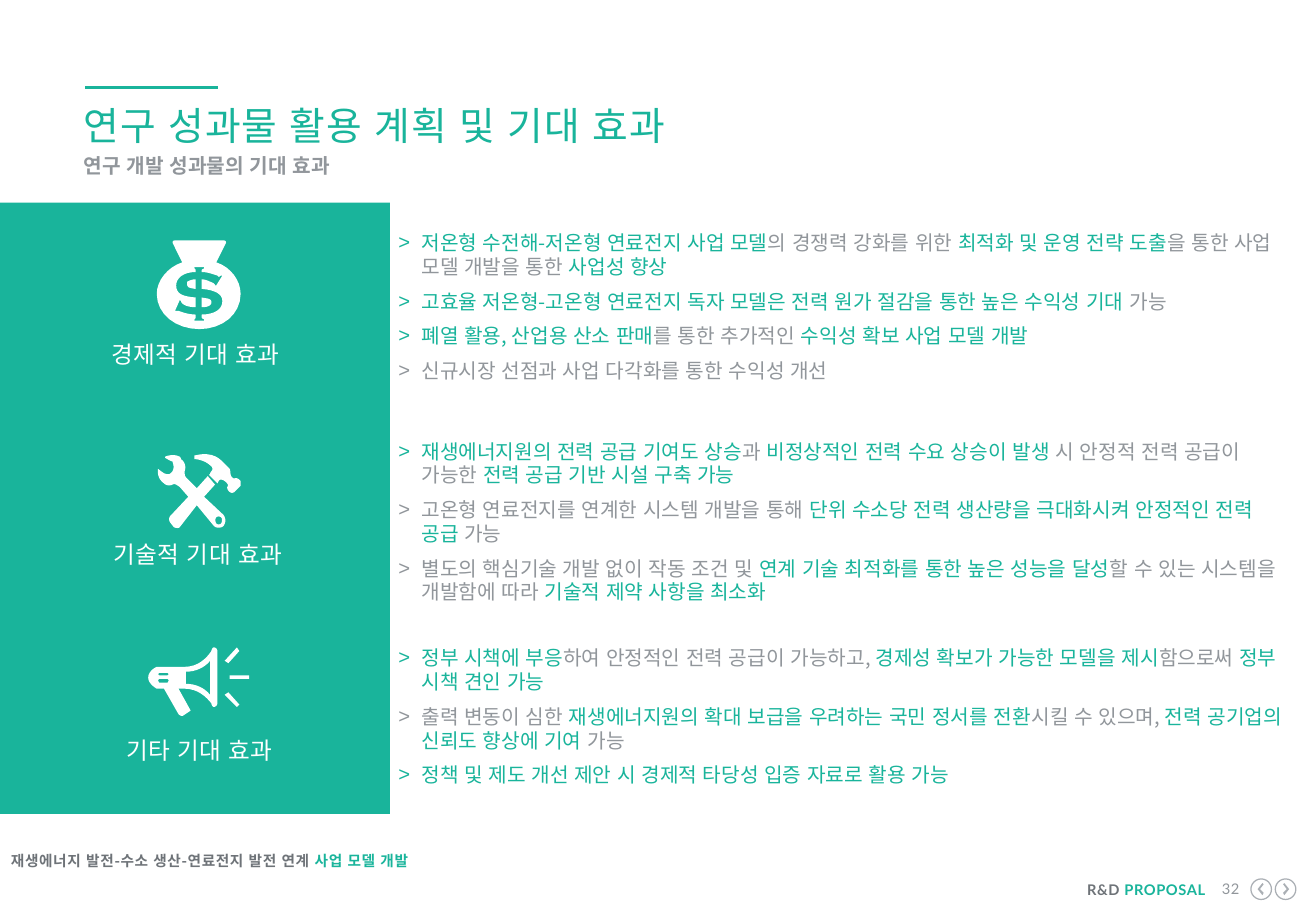
from lxml import etree
from pptx import Presentation
from pptx.dml.color import RGBColor
from pptx.enum import lang, shapes, text
from pptx.oxml import ns
from pptx.util import Cm, Pt

TEAL = RGBColor(0x19, 0xB4, 0x9B)
GRAY = RGBColor(0x91, 0x96, 0x9B)
DARK_GRAY = RGBColor(0x6E, 0x73, 0x78)
ARROW_GRAY = RGBColor(0xAA, 0xAF, 0xB4)
WHITE = RGBColor(0xFF, 0xFF, 0xFF)
KOREAN_FONT = "Noto Sans CJK KR"
LATIN_FONT = "Lato"
GRID = Cm(0.0254)  # unit of the icon outlines
CURVE_STEPS = 8

# Outlines: points joined by lines; "C" makes the next three points a curve.
MONEY_BAG = [
    "198,242 C 198,259 183,271 164,271 C 145,271 129,259 129,242 C 129,231 138,220 150,216 "
    "142,200 C 142,198 143,198 145,198 183,198 C 185,198 186,198 186,200 178,216 "
    "C 190,220 198,231 198,242",
    "177,235 178,235 183,227 182,227 C 181,227 181,228 180,228 179,227 C 173,225 170,224 166,224 "
    "166,223 C 166,222 166,222 168,221 168,220 160,220 160,221 C 161,222 161,222 161,223 161,224 "
    "C 151,224 145,229 145,235 C 145,242 150,244 161,245 161,253 C 153,253 149,250 149,248 "
    "148,247 144,256 147,256 C 152,258 157,259 161,259 161,261 C 161,262 161,262 160,263 "
    "160,264 168,264 168,263 C 166,262 166,262 166,261 166,259 C 176,259 183,255 183,248 "
    "C 183,242 177,239 167,238 166,238 166,230 C 168,230 171,231 173,232 C 176,233 177,234 177,235",
    "161,230 161,238 C 156,237 154,237 154,234 154,232 C 156,231 158,230 161,230",
    "166,245 C 172,246 174,246 174,249 C 174,251 172,253 166,253",
]
TOOLS = [
    "184,424 C 186,427 186,430 184,433 C 182,435 178,435 176,433 162,416 148,434 "
    "C 147,435 145,435 143,434 140,430 C 139,429 139,426 140,425 155,409 148,401 "
    "C 145,399 144,398 142,399 C 140,400 137,400 135,398 C 129,394 130,387 130,387 130,386 "
    "C 130,386 135,390 136,390 C 137,390 139,392 142,388 C 144,384 142,381 142,380 "
    "C 141,380 136,377 136,377 136,376 C 136,376 142,373 148,376 C 148,376 149,377 149,378 "
    "C 153,381 153,385 152,388 C 152,391 152,392 154,394 162,402 171,392 177,399 168,409",
    "198,400 193,405 C 192,406 190,406 189,405 188,404 C 187,403 187,401 187,401 "
    "C 188,400 188,399 186,397 C 184,395 181,394 180,396 179,398 172,391 173,390 "
    "C 173,390 173,389 174,388 C 176,386 174,384 174,384 C 168,378 160,378 160,378 160,375 "
    "C 176,371 182,379 184,381 C 186,383 189,386 189,386 C 190,387 189,391 191,393 "
    "C 192,394 193,394 193,394 C 194,393 196,394 197,395 198,396 C 198,397 198,399 198,400",
    "182,426 C 181,425 179,425 178,426 C 177,427 177,429 178,431 C 179,432 181,432 182,431 "
    "C 183,429 183,427 182,426",
]
MEGAPHONE = [
    "179,536 179,579 C 179,580 178,582 176,582 C 175,582 174,580 174,579 "
    "C 170,574 163,567 152,567 147,567 157,585 151,589 C 150,590 148,589 147,588 135,567 129,567 "
    "C 129,567 122,563 122,558 C 122,552 129,549 129,549 152,549 C 163,549 170,542 174,536 "
    "C 174,535 175,533 176,533 C 178,533 179,535 179,536",
    "139,555 138,554 131,554 130,555 131,556 138,556",
    "139,560 138,559 131,559 130,560 131,562 138,562",
    "173,572 173,544 C 168,550 161,553 153,553 153,563 C 161,563 168,566 173,572",
    "185,544 195,533 197,536 188,546",
    "188,570 197,580 195,582 185,572",
    "189,556 205,556 205,559 189,559",
]
PREVIOUS_ARROW = ["1040,735 1037,732 1040,728 1039,727 1035,732 1039,737"]
NEXT_ARROW = ["1056,728 1059,732 1056,735 1057,737 1061,732 1057,727"]

# Text between asterisks is set in teal.
SECTIONS = [
    ("경제적 기대 효과", MONEY_BAG, (1.7, 7.06), (4.83, 3.25), [
        "*저온형 수전해-저온형 연료전지 사업 모델*의 경쟁력 강화를 위한 "
        "*최적화 및 운영 전략 도출*을 통한 사업 모델 개발을 통한 *사업성 향상*",
        "*고효율 저온형-고온형 연료전지 독자 모델은 전력 원가 절감을 통한 높은 수익성 기대* 가능",
        "*폐열 활용, 산업용 산소 판매*를 통한 추가적인 *수익성 확보 사업 모델 개발*",
        "신규시장 선점과 사업 다각화를 통한 수익성 개선",
    ]),
    ("기술적 기대 효과", TOOLS, (1.75, 11.23), (9.19, 3), [
        "*재생에너지원의 전력 공급 기여도 상승*과 *비정상적인 전력 수요 상승이 발생*"
        " 시 안정적 전력 공급이 가능한 *전력 공급 기반 시설 구축 가능*",
        "고온형 연료전지를 연계한 시스템 개발을 통해 "
        "*단위 수소당 전력 생산량을 극대화시켜 안정적인 전력 공급* 가능",
        "별도의 핵심기술 개발 없이 작동 조건 및 *연계 기술 최적화를 통한 높은 성능을 달성*"
        "할 수 있는 시스템을 개발함에 따라 *기술적 제약 사항을 최소화*",
    ]),
    ("기타 기대 효과", MEGAPHONE, (1.78, 15.34), (13.51, 3), [
        "*정부 시책에 부응*하여 안정적인 전력 공급이 가능하고, "
        "*경제성 확보가 가능한 모델을 제시*함으로써 *정부 시책 견인 가능*",
        "출력 변동이 심한 *재생에너지원의 확대 보급을 우려하는 국민 정서를 전환*"
        "시킬 수 있으며, *전력 공기업의 신뢰도 향상에 기여* 가능",
        "*정책 및 제도 개선 제안 시 경제적 타당성 입증 자료로 활용 가능*",
    ]),
]


def prepare_frame(shape, left, top, width, height):
    """Place a text shape and strip its margins; return its text frame."""
    shape.left, shape.top, shape.width, shape.height = map(Cm, (left, top, width, height))
    frame = shape.text_frame
    frame.margin_left = frame.margin_right = frame.margin_top = frame.margin_bottom = 0
    frame.word_wrap = True
    frame.auto_size = text.MSO_AUTO_SIZE.NONE
    frame.vertical_anchor = text.MSO_ANCHOR.TOP
    return frame


def add_runs(paragraph, marked, size, color, font=KOREAN_FONT, bold=False, spacing=0):
    for index, part in enumerate(marked.split("*")):
        if not part:
            continue
        run = paragraph.add_run()
        run.text = part
        run.font.size, run.font.bold, run.font.name = Pt(size), bold, font
        run.font.color.rgb = TEAL if index % 2 else color
        run.font.language_id = lang.MSO_LANGUAGE_ID.KOREAN
        properties = run.font._element
        properties.set("spc", str(round(spacing * 100)))
        east_asian = etree.SubElement(properties, ns.qn("a:ea"))
        east_asian.set("typeface", font)


def format_paragraph(paragraph, line=None, after=0, align=text.PP_ALIGN.LEFT):
    paragraph.alignment = align
    paragraph.line_spacing = Pt(line) if line else 1.0
    paragraph.space_before, paragraph.space_after = Pt(0), Pt(after)


def add_line_of_text(shape, box, marked, size, color, line=None, after=0,
                     align=text.PP_ALIGN.LEFT, **run_format):
    paragraph = prepare_frame(shape, *box).paragraphs[0]
    format_paragraph(paragraph, line, after, align)
    add_runs(paragraph, marked, size, color, **run_format)


def fill_list(shape, box, items):
    frame = prepare_frame(shape, *box)
    for index, item in enumerate(items):
        paragraph = frame.add_paragraph() if index else frame.paragraphs[0]
        properties = paragraph._p.get_or_add_pPr()
        properties.set("marL", str(Cm(0.48)))
        properties.set("indent", str(Cm(-0.48)))
        etree.SubElement(properties, ns.qn("a:buChar")).set("char", ">")
        format_paragraph(paragraph, 14.1, 6.5)
        add_runs(paragraph, item, 12, GRAY)


def trace(outline):
    """Turn an outline into points, sampling its curves."""
    points, tokens = [], iter(outline.split())

    def to_point(token):
        return tuple(int(value) * GRID for value in token.split(","))

    for token in tokens:
        if token != "C":
            points.append(to_point(token))
            continue
        curve = [points[-1]] + [to_point(next(tokens)) for _ in range(3)]
        for step in range(1, CURVE_STEPS + 1):
            t = step / CURVE_STEPS
            weights = ((1 - t) ** 3, 3 * t * (1 - t) ** 2, 3 * t * t * (1 - t), t ** 3)
            points.append(tuple(sum(w * p[axis] for w, p in zip(weights, curve)) for axis in (0, 1)))
    return points


def paint(shape, color):
    shape.shadow.inherit = False
    shape.fill.solid()
    shape.fill.fore_color.rgb = color
    shape.line.fill.background()


def add_icon(slide, outlines, color):
    contours = [trace(outline) for outline in outlines]
    builder = slide.shapes.build_freeform(*contours[0][0])
    for index, points in enumerate(contours):
        if index:
            builder.move_to(*points[0])
        builder.add_line_segments(points[1:], close=True)
    paint(builder.convert_to_shape(), color)


def add_text(slide, box, *args, **kwargs):
    add_line_of_text(slide.shapes.add_textbox(0, 0, 0, 0), box, *args, **kwargs)


def add_accent_line(slide):
    line = slide.shapes.add_connector(shapes.MSO_CONNECTOR.STRAIGHT,
                                      Cm(1.78), Cm(1.83), Cm(4.55), Cm(1.83))
    line.line.color.rgb, line.line.width = TEAL, Pt(2.25)
    etree.SubElement(line._element.spPr, ns.qn("a:effectLst"))


def add_page_button(slide, left, arrow):
    ring = slide.shapes.add_shape(shapes.MSO_SHAPE.OVAL, Cm(left), Cm(18.38), Cm(0.43), Cm(0.43))
    ring.shadow.inherit = False
    ring.fill.background()
    ring.line.color.rgb, ring.line.width = ARROW_GRAY, Pt(0.75)
    add_icon(slide, arrow, ARROW_GRAY)


def add_footer(slide):
    add_text(slide, (0.23, 17.81, 8.99, 0.38),
             "재생에너지 발전-수소 생산-연료전지 발전 연계 *사업 모델 개발*",
             8.7, DARK_GRAY, bold=True, spacing=0.3)
    right = {"align": text.PP_ALIGN.RIGHT, "font": LATIN_FONT, "spacing": 0.3}
    add_text(slide, (21.72, 18.42, 3.48, 0.38), "R&D *PROPOSAL*", 8.7, DARK_GRAY, bold=True, **right)
    add_text(slide, (25.27, 18.39, 0.64, 0.38), "32", 8.7, GRAY, **right)
    add_page_button(slide, 26.15, PREVIOUS_ARROW)
    add_page_button(slide, 26.66, NEXT_ARROW)


def main():
    presentation = Presentation()
    presentation.slide_width, presentation.slide_height = Cm(27.51), Cm(19.05)
    slide = presentation.slides.add_slide(presentation.slide_layouts.get_by_name("Comparison"))
    title, subtitle, *lists = slide.placeholders
    add_line_of_text(title, (1.75, 2.13, 12.45, 1.42), "연구 성과물 활용 계획 및 기대 효과",
                     23, TEAL, spacing=0.5)
    add_line_of_text(subtitle, (1.75, 3.25, 16.92, 0.53), "연구 개발 성과물의 기대 효과",
                     12, GRAY, line=13, bold=True)
    add_accent_line(slide)
    panel = slide.shapes.add_shape(shapes.MSO_SHAPE.RECTANGLE, 0, Cm(4.24), Cm(8.15), Cm(12.78))
    paint(panel, TEAL)
    for body, (label, icon, (left, label_top), (top, height), items) in zip(lists, SECTIONS):
        add_icon(slide, icon, WHITE)
        add_text(slide, (left, label_top, 4.78, 0.62), label, 14, WHITE, line=18.4, after=6.5,
                 align=text.PP_ALIGN.CENTER, spacing=0.2)
        fill_list(body, (8.33, top, 18.62, height), items)
    add_footer(slide)
    presentation.save("out.pptx")


if __name__ == "__main__":
    main()
